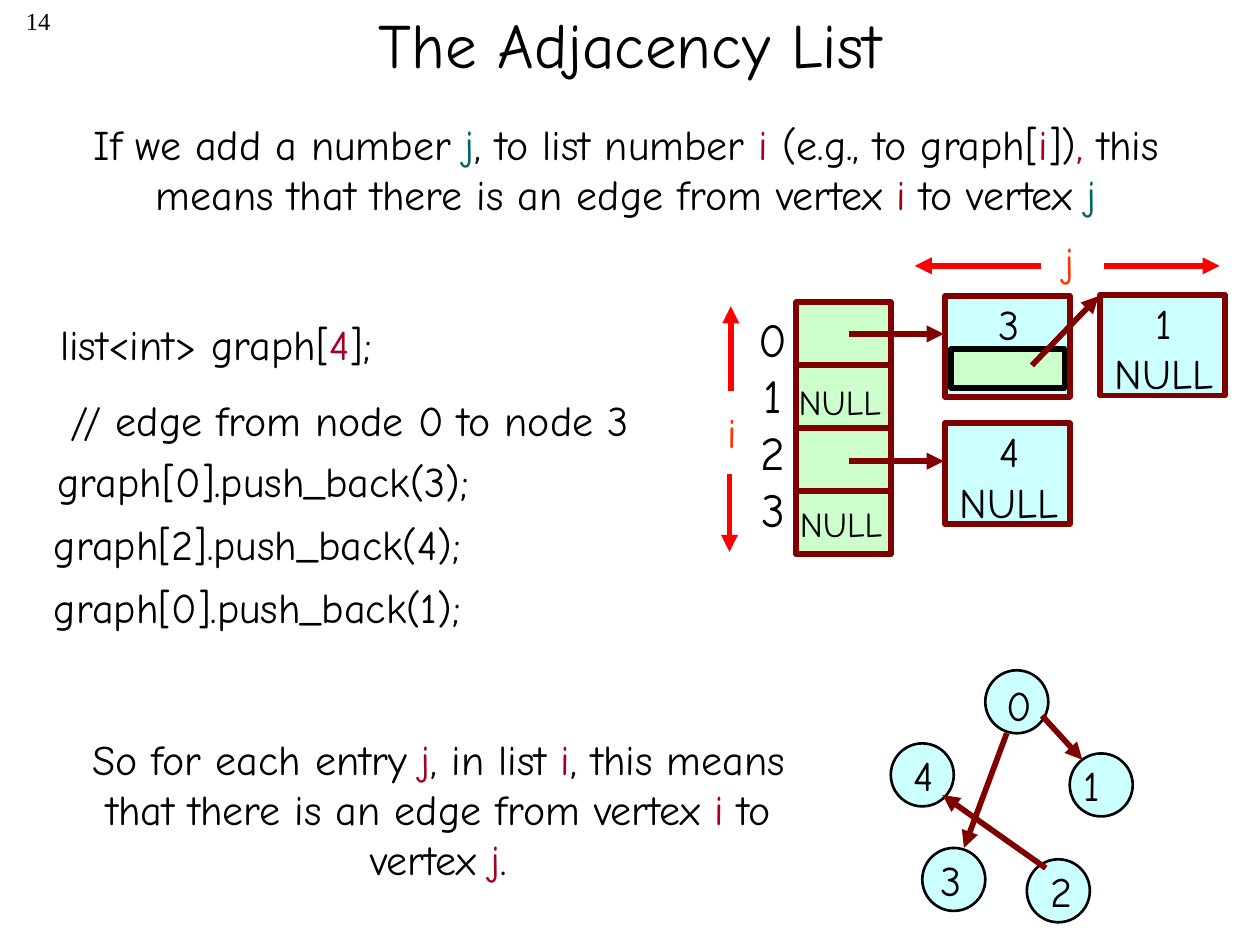
from lxml.etree import SubElement
from pptx import Presentation
from pptx.dml.color import RGBColor
from pptx.enum.shapes import MSO_CONNECTOR, MSO_SHAPE
from pptx.enum.text import MSO_ANCHOR, PP_ALIGN
from pptx.oxml.ns import qn
from pptx.util import Inches, Pt

BLACK = RGBColor(0x00, 0x00, 0x00)
CRIMSON = RGBColor(0xA5, 0x00, 0x21)
TEAL = RGBColor(0x00, 0x66, 0x66)
ORANGE = RGBColor(0xFF, 0x33, 0x00)
RED = RGBColor(0xFF, 0x00, 0x00)
MAROON = RGBColor(0x80, 0x00, 0x00)
CYAN = RGBColor(0xCC, 0xFF, 0xFF)
GREEN = RGBColor(0xCC, 0xFF, 0xCC)
FONT = "Comic Neue"

prs = Presentation()
prs.slide_width, prs.slide_height = Inches(10), Inches(7.5)
COL, ROW = prs.slide_width // 100, prs.slide_height // 75
s = prs.slides.add_slide(prs.slide_layouts[5])


def add_text(x, y, w, h, *paragraphs, size=24, align=PP_ALIGN.CENTER, wrap=False, font=FONT):
    tf = s.shapes.add_textbox(int(x * COL), int(y * ROW), int(w * COL), int(h * ROW)).text_frame
    tf.word_wrap = wrap
    for i, runs in enumerate(paragraphs):
        p = tf.add_paragraph() if i else tf.paragraphs[0]
        p.alignment = align
        p.font.size, p.font.name = Pt(size), font
        for text, color in [(runs, BLACK)] if isinstance(runs, str) else runs:
            r = p.add_run()
            r.text = text
            r.font.color.rgb = color


def add_arrow(x1, y1, x2, y2, color=MAROON):
    c = s.shapes.add_connector(MSO_CONNECTOR.STRAIGHT, int(x1 * COL), int(y1 * ROW),
                               int(x2 * COL), int(y2 * ROW))
    c.line.color.rgb, c.line.width = color, Pt(3.25)
    SubElement(c.line._get_or_add_ln(), qn("a:tailEnd"), type="triangle")
    SubElement(c._element.spPr, qn("a:effectLst"))


title = s.shapes.title
title.left, title.top = int(7.5 * COL), int(-2.8 * ROW)
title.width, title.height = 85 * COL, int(12.5 * ROW)
tf = title.text_frame
tf.text = "The Adjacency List"
tf.vertical_anchor = MSO_ANCHOR.MIDDLE
p = tf.paragraphs[0]
p.alignment = PP_ALIGN.CENTER
p.font.size, p.font.name, p.font.color.rgb = Pt(36), FONT, BLACK

add_text(0, 0, 5, 5, "14", size=14, align=PP_ALIGN.RIGHT, font="Times New Roman")
add_text(3.3, 8.9, 92.8, 9.1, [
    ("If we add a number ", BLACK), ("j", TEAL), (", to list number ", BLACK), ("i ", CRIMSON),
    ("(e.g., to graph[", BLACK), ("i", CRIMSON), ("])", BLACK), (", ", CRIMSON),
    ("this means that there is an edge from vertex ", BLACK), ("i", CRIMSON),
    (" to vertex ", BLACK), ("j", TEAL)], wrap=True)
add_text(5.7, 57.7, 58.2, 13, [
    ("So for each entry ", BLACK), ("j", CRIMSON), (", in list ", BLACK), ("i", CRIMSON),
    (", this means that there is an edge from vertex ", BLACK), ("i ", CRIMSON),
    ("to vertex ", BLACK), ("j", CRIMSON), (".", BLACK)], wrap=True)

code_lines = [
    (3.8, 24.8, 29.4, [("list<int> graph[", BLACK), ("4", CRIMSON), ("];", BLACK)]),
    (4.6, 30.8, 49.3, "// edge from node 0 to node 3"),
    (3.6, 35.7, 38, "graph[0].push_back(3);"),
    (3.3, 40.7, 38, "graph[2].push_back(4);"),
    (3.3, 45.7, 37.4, "graph[0].push_back(1);"),
]
for x, y, w, text in code_lines:
    add_text(x, y, w, 5, text, align=PP_ALIGN.LEFT)

RECT, OVAL = MSO_SHAPE.RECTANGLE, MSO_SHAPE.OVAL
array_cells = [(RECT, 63.2, 24 + 5 * i, 7.5, 5, GREEN, MAROON, 3.25) for i in range(4)]
list_nodes = [(RECT, x, y, 9.9, 8, CYAN, MAROON, 3.25)
              for x, y in [(75, 23.5), (75, 33.6), (87.3, 23.4)]]
next_cell = [(RECT, 75.5, 27.7, 9, 3.1, GREEN, BLACK, 3.25)]
vertices = [(78.2, 53.2, 78.9, 53.4, 4), (84.9, 59.8, 85, 59.8, 3.5),
            (81.5, 68.2, 82.4, 68.2, 4), (73.2, 67.3, 73.7, 67.3, 4),
            (70.7, 59, 71.5, 59, 4)]
circles = [(OVAL, x, y, 5, 5, CYAN, BLACK, 1.5) for x, y, *label in vertices]
for kind, x, y, w, h, fill, line, width in array_cells + list_nodes + next_cell + circles:
    sp = s.shapes.add_shape(kind, int(x * COL), int(y * ROW), int(w * COL), int(h * ROW))
    sp.shadow.inherit = False
    sp.fill.solid()
    sp.fill.fore_color.rgb = fill
    sp.line.color.rgb, sp.line.width = line, Pt(width)

pointers = [(67.4, 26.5, 74.9, 26.5), (67.4, 36.6, 74.9, 36.6), (81.9, 29, 87.2, 23.5)]
edges = [(79.9, 58.2, 76.5, 67.3), (83, 68.9, 74.8, 63.1), (82.7, 56.8, 85.9, 60.3)]
for ends in pointers + edges:
    add_arrow(*ends)
axes = [(58, 31, 58, 24.3), (57.9, 37.6, 57.9, 43.8),
        (87.6, 21.1, 96.8, 21.1), (82.6, 21.1, 72.6, 21.1)]
for ends in axes:
    add_arrow(*ends, RED)

for number, (_, _, x, y, w) in enumerate(vertices):
    add_text(x, y, w, 5, str(number), align=PP_ALIGN.LEFT)
add_text(59.2, 24.1, 4.3, 19, "0", "1", "2", "3", size=27)
for x, y in [(62.4, 29.7), (62.5, 39.4)]:
    add_text(x, y, 9.3, 4.3, "NULL", size=20, align=PP_ALIGN.LEFT)
add_text(74.7, 23.2, 10.8, 5, "3")
add_text(74.7, 33.3, 10.8, 9, "4", "NULL")
add_text(87, 23.1, 10.8, 9, "1", "NULL")
add_text(56.6, 31.8, 3, 5, [("i", ORANGE)])
add_text(83.2, 18.2, 3.4, 5, [("j", ORANGE)])

prs.save("out.pptx")
